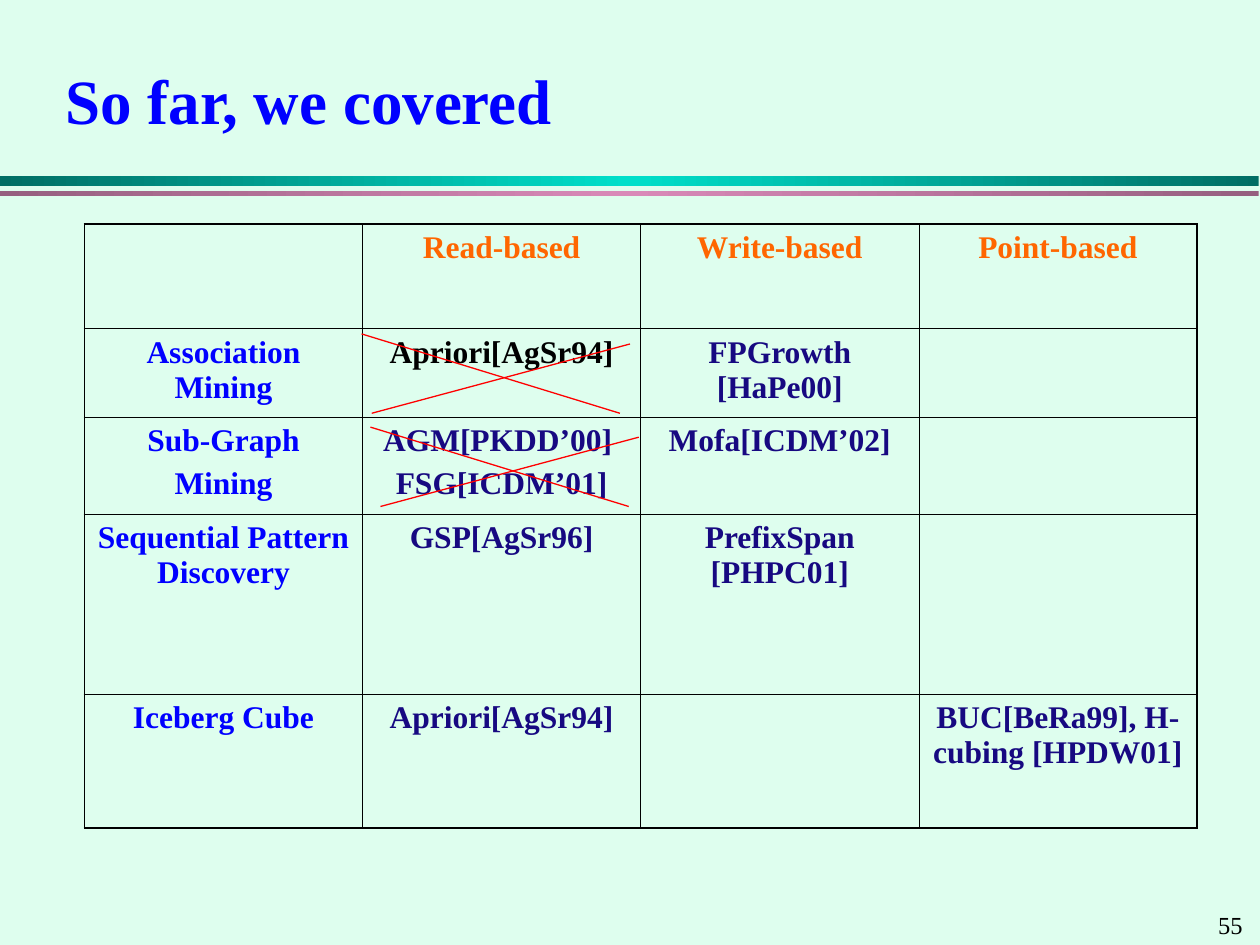
from lxml import etree
from pptx import Presentation
from pptx import util as u
from pptx.dml import color
from pptx.enum import shapes, text
from pptx.oxml import ns, parse_xml

COLUMNS, ROWS = 1000, 750
FONT = "Times New Roman"
BLUE, NAVY, ORANGE, BLACK, RED = "0000FF", "170981", "FF6600", "000000", "FF0000"

deck = Presentation()
deck.slide_width, deck.slide_height = u.Inches(10), u.Inches(7.5)
CELL = deck.slide_width // COLUMNS

METHODS = [
    ["", "Read-based", "Write-based", "Point-based"],
    ["Association Mining", "Apriori[AgSr94]", "FPGrowth [HaPe00]", ""],
    ["Sub-Graph\nMining", "AGM[PKDD’00] \nFSG[ICDM’01]", "Mofa[ICDM’02]", ""],
    ["Sequential Pattern Discovery", "GSP[AgSr96]", "PrefixSpan [PHPC01]", ""],
    ["Iceberg Cube", "Apriori[AgSr94]", "", "BUC[BeRa99], H-cubing [HPDW01]"],
]
ROW_HEIGHTS = [83, 70, 77, 143, 106]


def grid(*cells):
    return [u.Emu(round(cell * CELL)) for cell in cells]


def rgb(value):
    return color.RGBColor.from_string(value)


def style(paragraph, size, value, bold=True):
    for run in paragraph.runs:
        run.font.name, run.font.size, run.font.bold = FONT, u.Pt(size), bold
        run.font.color.rgb = rgb(value)


def add_title(slide, box, words):
    title = slide.shapes.title
    title.left, title.top, title.width, title.height = grid(*box)
    frame = title.text_frame
    frame.text = words
    frame.vertical_anchor = text.MSO_ANCHOR.MIDDLE
    frame.paragraphs[0].alignment = text.PP_ALIGN.LEFT
    style(frame.paragraphs[0], 36, BLUE)


def add_band(slide, box, edge, middle):
    band = slide.shapes.add_shape(shapes.MSO_SHAPE.RECTANGLE, *grid(*box))
    band.shadow.inherit = False
    band.line.fill.background()
    band.fill.gradient()
    band.fill.gradient_angle = 0
    stops = band.fill._fill._gradFill.find(ns.qn("a:gsLst"))
    for stop in list(stops):
        stops.remove(stop)
    for share, value in ((0, edge), (50, middle), (100, edge)):
        stop = etree.SubElement(stops, ns.qn("a:gs"), pos=str(share * 1000))
        etree.SubElement(stop, ns.qn("a:srgbClr"), val=value)


def add_page_number(slide, box, number):
    page = slide.shapes.add_textbox(*grid(*box))
    page.text_frame.text = number
    style(page.text_frame.paragraphs[0], 14, BLACK, bold=False)


def add_borders(cell, outer_sides):
    properties = cell._tc.get_or_add_tcPr()
    for index, side in enumerate("LRTB"):
        width = u.Pt(1.08 if side in outer_sides else 0.45)
        properties.insert(index, parse_xml(
            f'<a:ln{side} {ns.nsdecls("a")} w="{int(width)}"><a:solidFill>'
            f'<a:srgbClr val="{BLACK}"/></a:solidFill></a:ln{side}>'))


def method_color(row, column):
    if row == 0:
        return ORANGE
    if column == 0:
        return BLUE
    return BLACK if (row, column) == (1, 1) else NAVY


def add_methods(slide, box):
    last_row, last_column = len(METHODS) - 1, len(METHODS[0]) - 1
    table = slide.shapes.add_table(last_row + 1, last_column + 1, *grid(*box)).table
    table.first_row = table.horz_banding = False
    for column in table.columns:
        column.width = grid(box[2] / (last_column + 1))[0]
    for row, height in zip(table.rows, ROW_HEIGHTS):
        row.height = grid(height)[0]
    for r, entries in enumerate(METHODS):
        for c, entry in enumerate(entries):
            cell = table.cell(r, c)
            cell.fill.background()
            edges = {"L": c == 0, "R": c == last_column, "T": r == 0, "B": r == last_row}
            add_borders(cell, [side for side, outer in edges.items() if outer])
            if not entry:
                continue
            cell.text_frame.text = entry
            for paragraph in cell.text_frame.paragraphs:
                paragraph.alignment = text.PP_ALIGN.CENTER
                paragraph.space_before = u.Pt(4.5)
                style(paragraph, 18, method_color(r, c))


def add_cross(slide, box):
    left, top, width, height = box
    inset = 8
    strokes = [
        (left + inset, top + height, left + width, top + inset),
        (left + width - inset, top + height, left, top),
    ]
    for ends in strokes:
        stroke = slide.shapes.add_connector(shapes.MSO_CONNECTOR.STRAIGHT, *grid(*ends))
        stroke.line.color.rgb = rgb(RED)
        stroke.line.width = u.Pt(0.74)
        etree.SubElement(stroke._element.spPr, ns.qn("a:effectLst"))


def build_summary():
    slide = deck.slides.add_slide(deck.slide_layouts[5])
    slide.background.fill.solid()
    slide.background.fill.fore_color.rgb = rgb("DEFEEE")
    add_band(slide, (0, 140, COLUMNS - 1, 8), "006E64", "00DFCA")
    add_band(slide, (0, 152, COLUMNS - 1, 4), "965F7F", "D989B8")
    add_page_number(slide, (COLUMNS - 43, ROWS - 33, 43, 34), "55")
    add_title(slide, (42, 42, 917, 73), "So far, we covered")
    add_methods(slide, (67, 178, 883, sum(ROW_HEIGHTS)))
    for left, top in ((287, 265), (294, 339)):
        add_cross(slide, (left, top, 213, 63))


build_summary()
deck.save("out.pptx")
